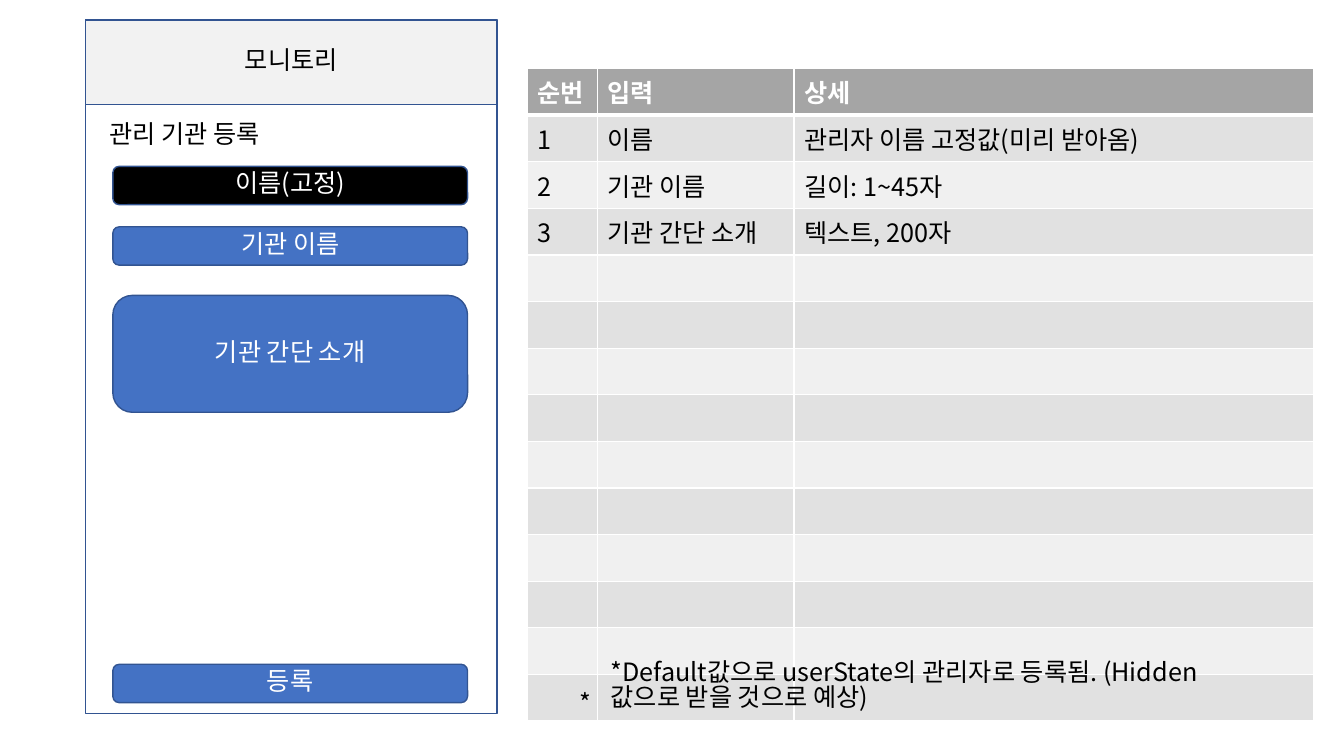
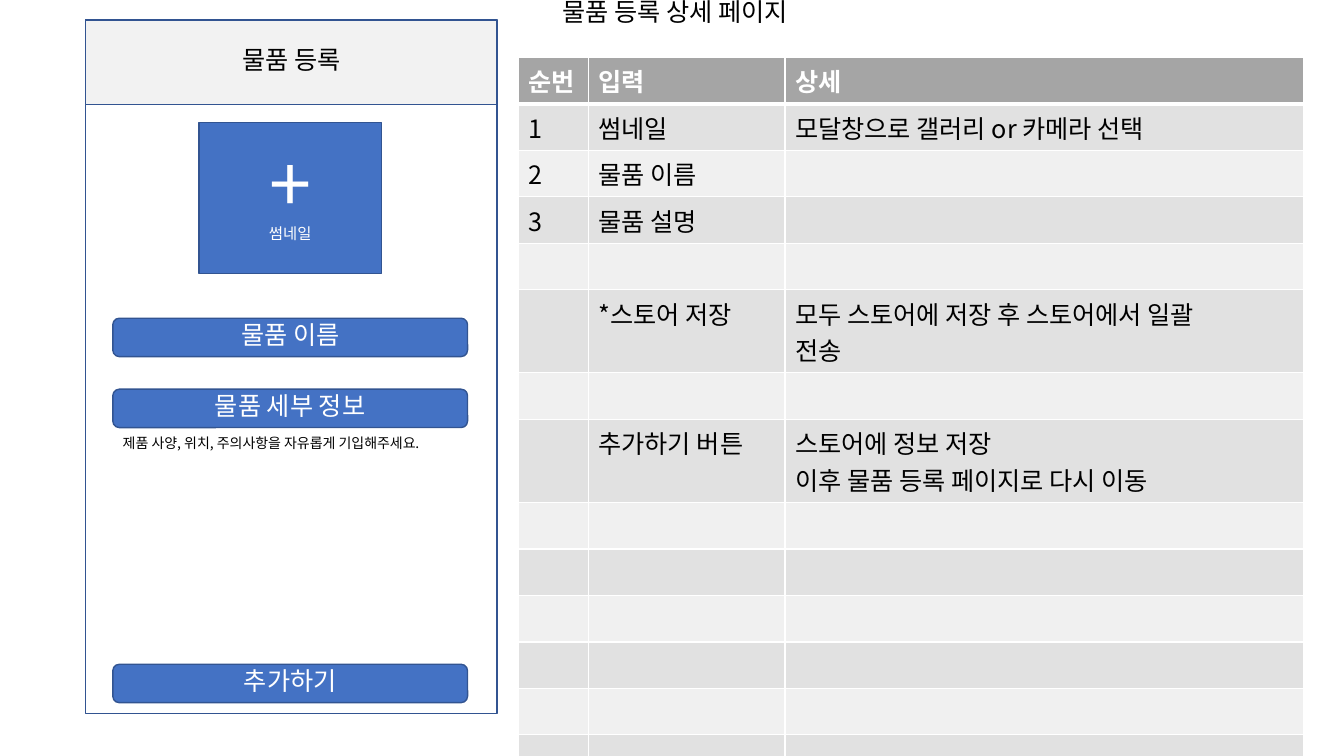
from lxml import etree
from pptx import Presentation
from pptx.dml.color import RGBColor
from pptx.enum.shapes import MSO_SHAPE
from pptx.enum.text import MSO_ANCHOR, PP_ALIGN
from pptx.oxml.ns import qn
from pptx.util import Pt

RECT, ROUND = MSO_SHAPE.RECTANGLE, MSO_SHAPE.ROUNDED_RECTANGLE
LEFT, CENTER = PP_ALIGN.LEFT, PP_ALIGN.CENTER
TOP, MIDDLE = MSO_ANCHOR.TOP, MSO_ANCHOR.MIDDLE
FONT = "Noto Sans CJK KR"
BLACK, WHITE, BLUE, EDGE = "000000", "FFFFFF", "4472C4", "325491"
PALE, HEAD, BANDS = "F2F2F2", "A5A5A5", ("F0F0F0", "E1E1E1")
COLS = (50.2, 140.4, 370.8)
ROWS, ROW, LINE = 14, 33.2, 26.2
FIELD_X, FIELD_W, FIELD_H = 80.6, 253.4, 27.4


def color(code):
    return RGBColor.from_string(code)


class Deck:
    def __init__(self):
        self.prs = Presentation()
        self.prs.slide_width, self.prs.slide_height = Pt(960), Pt(540)

    def page(self, title):
        """Start a slide with the phone screen and its title bar."""
        self.slide = self.prs.slides.add_slide(self.prs.slide_layouts[6])
        self.box("", 61.2, 14.4, 293.8, 495.4, WHITE)
        self.box(title, 61.2, 14.4, 293.8, 60.5, PALE, BLACK)

    def put(self, frame, text, ink, sizes=(18,), align=LEFT, space=None,
            bold=False):
        """Fill a frame, one paragraph a line; the last size repeats."""
        frame.text = text
        for i, par in enumerate(frame.paragraphs):
            par.alignment = align
            if space:
                par.line_spacing = space
            font = par.font
            font.name, font.bold = FONT, bold
            font.size = Pt(sizes[min(i, len(sizes) - 1)])
            font.color.rgb = color(ink)
            props = par._p.pPr.find(qn("a:defRPr"))
            etree.SubElement(props, qn("a:ea"), typeface=FONT)

    def box(self, text, x, y, w, h, fill=BLUE, ink=WHITE, kind=RECT,
            sizes=(18,)):
        shape = self.slide.shapes.add_shape(kind, Pt(x), Pt(y), Pt(w), Pt(h))
        shape.shadow.inherit = False
        shape.fill.solid()
        shape.fill.fore_color.rgb = color(fill)
        shape.line.color.rgb = color(EDGE)
        shape.line.width = Pt(1)
        if text:
            shape.text_frame.vertical_anchor = MIDDLE
            self.put(shape.text_frame, text, ink, sizes, CENTER, 0.82)

    def field(self, text, y, h=FIELD_H, fill=BLUE):
        self.box(text, FIELD_X, y, FIELD_W, h, fill, kind=ROUND)

    def label(self, text, x, y, w, h=28.8, size=18, wrap=True):
        frame = self.slide.shapes.add_textbox(
            Pt(x), Pt(y), Pt(w), Pt(h)).text_frame
        frame.word_wrap = wrap
        self.put(frame, text, BLACK, (size,), space=0.82)

    def cell(self, cell, text, top, fill):
        cell.vertical_anchor = TOP
        self.put(cell.text_frame, text, WHITE if top else BLACK, bold=top)
        props = cell._tc.get_or_add_tcPr()
        for side in "LRTB":
            width = Pt(3 if top and side == "B" else 1)
            line = etree.SubElement(props, qn("a:ln" + side), w=str(width))
            solid = etree.SubElement(line, qn("a:solidFill"))
            etree.SubElement(solid, qn("a:srgbClr"), val=WHITE)
        cell.fill.solid()
        cell.fill.fore_color.rgb = color(fill)

    def table(self, x, y, rows):
        """Draw the field list; rows maps a row number to its texts."""
        rows = {0: ("순번", "입력", "상세"), **rows}
        grid = self.slide.shapes.add_table(
            ROWS, len(COLS), Pt(x), Pt(y), Pt(sum(COLS)), Pt(ROWS * ROW)).table
        grid.horz_banding = False
        for col, width in zip(grid.columns, COLS):
            col.width = Pt(width)
        for r, row in enumerate(grid.rows):
            texts = rows.get(r, ("",) * len(COLS))
            extra = max(text.count("\n") for text in texts)
            row.height = Pt(ROW + LINE * extra)
            for cell, text in zip(row.cells, texts):
                self.cell(cell, text, r == 0, BANDS[r % 2] if r else HEAD)


def agency(deck):
    deck.page("모니토리")
    deck.table(376.6, 49, {
        1: ("1", "이름", "관리자 이름 고정값(미리 받아옴)"),
        2: ("2", "기관 이름", "길이: 1~45자"),
        3: ("3", "기관 간단 소개", "텍스트, 200자"),
    })
    deck.label("관리 기관 등록", 71.3, 85, 136.8, wrap=False)
    deck.label("*", 406.8, 491, 22.3, wrap=False)
    deck.field("이름(고정)", 118.8, fill=BLACK)
    deck.field("기관 이름", 162)
    deck.field("기관 간단 소개", 211, 83.5)
    deck.field("등록", 474.5)
    deck.label("*Default값으로 userState의 관리자로 등록됨. "
               "(Hidden 값으로 받을 것으로 예상)", 429.1, 469.4, 442, 51)


def item(deck):
    deck.page("물품 등록")
    deck.table(370.1, 41, {
        1: ("1", "썸네일", "모달창으로 갤러리 or 카메라 선택"),
        2: ("2", "물품 이름", ""),
        3: ("3", "물품 설명", ""),
        5: ("", "*스토어 저장", "모두 스토어에 저장 후 스토어에서 일괄\n전송"),
        7: ("", "추가하기 버튼",
            "스토어에 정보 저장\n이후 물품 등록 페이지로 다시 이동"),
    })
    deck.label("물품 등록 상세 페이지", 394.6, -2.2, 480.2)
    deck.box("+\n썸네일", 142.2, 87.4, 130.3, 108, sizes=(54, 11))
    deck.field("물품 이름", 227.3)
    deck.field("물품 세부 정보", 278)
    deck.field("추가하기", 474.5)
    deck.label("제품 사양, 위치, 주의사항을 자유롭게 기입해주세요.",
               FIELD_X, 308.9, FIELD_W, 19.4, 10)


def main():
    deck = Deck()
    agency(deck)
    item(deck)
    deck.prs.save("out.pptx")


if __name__ == "__main__":
    main()
